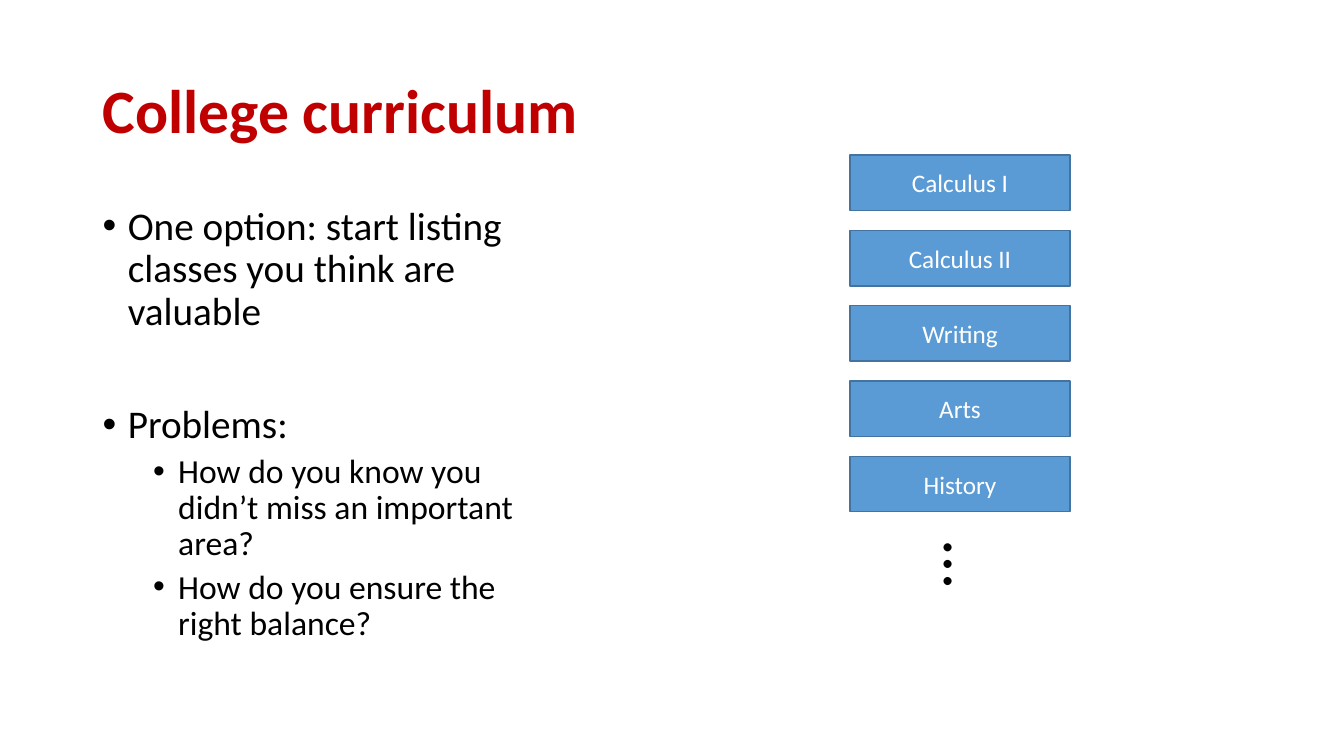
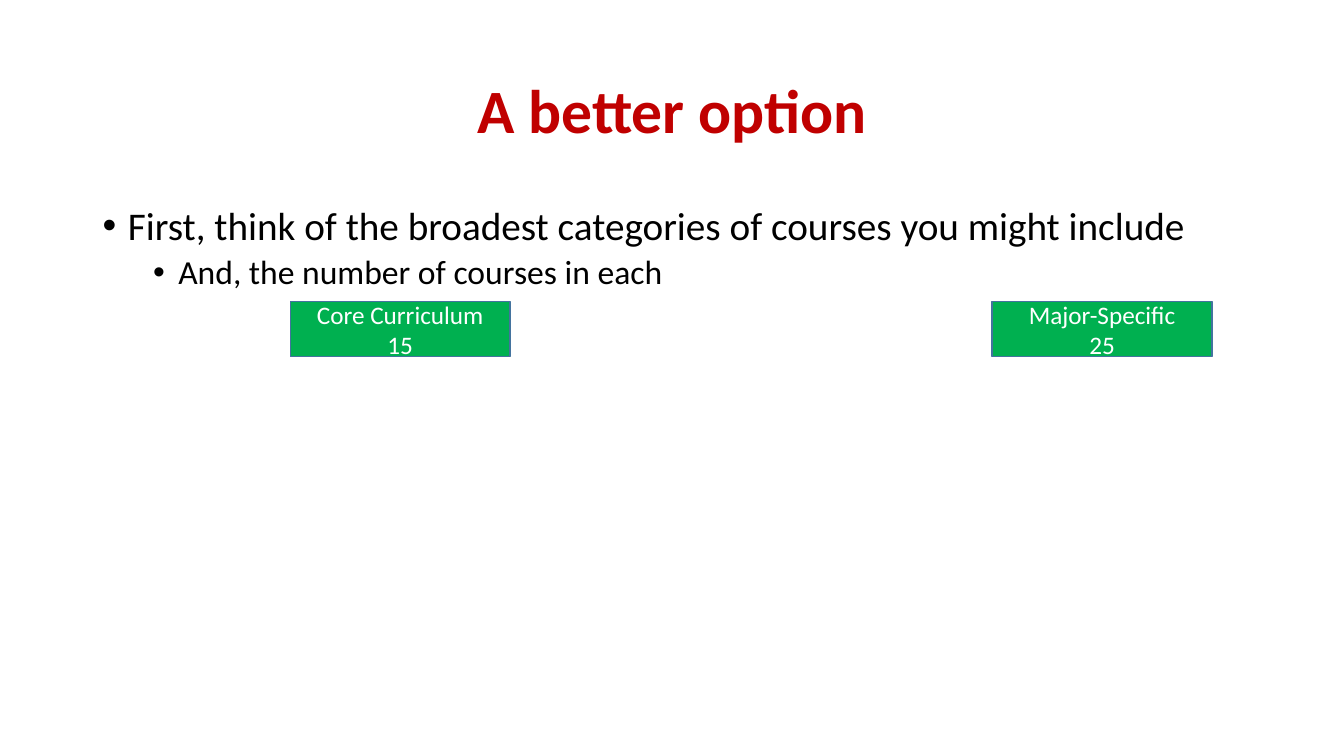
from lxml import etree
from pptx import Presentation
from pptx.dml.color import RGBColor
from pptx.enum.shapes import MSO_SHAPE
from pptx.enum.text import MSO_ANCHOR, MSO_AUTO_SIZE, PP_ALIGN
from pptx.oxml.ns import qn
from pptx.util import Inches, Pt


def rgb(value):
    return RGBColor.from_string(value)


class Deck:
    FONT = "Calibri"
    RED, BLACK, WHITE = "C00000", "000000", "FFFFFF"
    BLUE, GREEN, OUTLINE = "5B9BD5", "00B050", "43739E"
    LEFT, WIDTH = 6.9, 86.25
    BOX_WIDTH, BOX_HEIGHT = 16.36, 7.33
    LEVELS = [(28, 0.25, 10), (24, 0.75, 5)]

    def __init__(self):
        self.prs = Presentation()
        self.prs.slide_width = Inches(13.33)
        self.prs.slide_height = Inches(7.5)
        self.slide = None

    def area(self, left, top, width, height):
        across, down = self.prs.slide_width / 100, self.prs.slide_height / 100
        return (round(left * across), round(top * down),
                round(width * across), round(height * down))

    def add_text(self, paragraph, text, size, color, bold=False):
        run = paragraph.add_run()
        run.text = text
        run.font.name = self.FONT
        run.font.size = Pt(size)
        run.font.bold = bold
        run.font.color.rgb = rgb(color)

    def text_box(self, *place):
        box = self.slide.shapes.add_textbox(*self.area(*place))
        box.text_frame.word_wrap = True
        return box

    def new_slide(self, title, align=PP_ALIGN.LEFT):
        self.slide = self.prs.slides.add_slide(self.prs.slide_layouts[6])
        frame = self.text_box(self.LEFT, 5.33, self.WIDTH, 19.33).text_frame
        frame.vertical_anchor = MSO_ANCHOR.MIDDLE
        paragraph = frame.paragraphs[0]
        paragraph.alignment = align
        paragraph.line_spacing = 0.9
        self.add_text(paragraph, title, 44, self.RED, bold=True)

    def bullets(self, width, height, items):
        frame = self.text_box(self.LEFT, 26.67, width, height).text_frame
        for index, (level, text, extra_space) in enumerate(items):
            paragraph = frame.add_paragraph() if index else frame.paragraphs[0]
            size, indent, space = self.LEVELS[level]
            paragraph.level = level
            paragraph.line_spacing = 0.9
            paragraph.space_before = Pt(space + extra_space)
            props = paragraph._p.get_or_add_pPr()
            props.set("marL", str(Inches(indent)))
            props.set("indent", str(Inches(-0.25)))
            etree.SubElement(props, qn("a:buFont")).set("typeface", "Arial")
            etree.SubElement(props, qn("a:buChar")).set("char", "•")
            self.add_text(paragraph, text, size, self.BLACK)

    def course_box(self, left, top, fill, *lines):
        box = self.slide.shapes.add_shape(
            MSO_SHAPE.RECTANGLE,
            *self.area(left, top, self.BOX_WIDTH, self.BOX_HEIGHT))
        box.shadow.inherit = False
        box.fill.solid()
        box.fill.fore_color.rgb = rgb(fill)
        box.line.color.rgb = rgb(self.OUTLINE)
        box.line.width = Pt(1)
        frame = box.text_frame
        frame.vertical_anchor = MSO_ANCHOR.MIDDLE
        for index, line in enumerate(lines):
            paragraph = frame.add_paragraph() if index else frame.paragraphs[0]
            paragraph.alignment = PP_ALIGN.CENTER
            self.add_text(paragraph, line, 18, self.WHITE)

    def vertical_ellipsis(self, *place):
        box = self.text_box(*place)
        box.rotation = 90
        box.text_frame.word_wrap = False
        box.text_frame.auto_size = MSO_AUTO_SIZE.SHAPE_TO_FIT_TEXT
        self.add_text(box.text_frame.paragraphs[0], "…", 48, self.BLACK)


deck = Deck()

deck.new_slide("College curriculum")
deck.bullets(35.5, 63.47, [
    (0, "One option: start listing classes you think are valuable", 0),
    (0, "Problems:", 41),
    (1, "How do you know you didn’t miss an important area?", 0),
    (1, "How do you ensure the right balance?", 0),
])
courses = ["Calculus I", "Calculus II", "Writing", "Arts", "History"]
for row, course in enumerate(courses):
    deck.course_box(63.25, 20.53 + 9.96 * row, deck.BLUE, course)
deck.vertical_ellipsis(69.7, 68.67, 5.03, 12.13)

deck.new_slide("A better option", PP_ALIGN.CENTER)
deck.bullets(deck.WIDTH, 34.8, [
    (0, "First, think of the broadest categories of courses you might include", 0),
    (1, "And, the number of courses in each", 0),
])
for left, category, count in [(21.6, "Core Curriculum", "15"),
                              (73.82, "Major-Specific", "25")]:
    deck.course_box(left, 39.87, deck.GREEN, category, count)

deck.prs.save("out.pptx")
